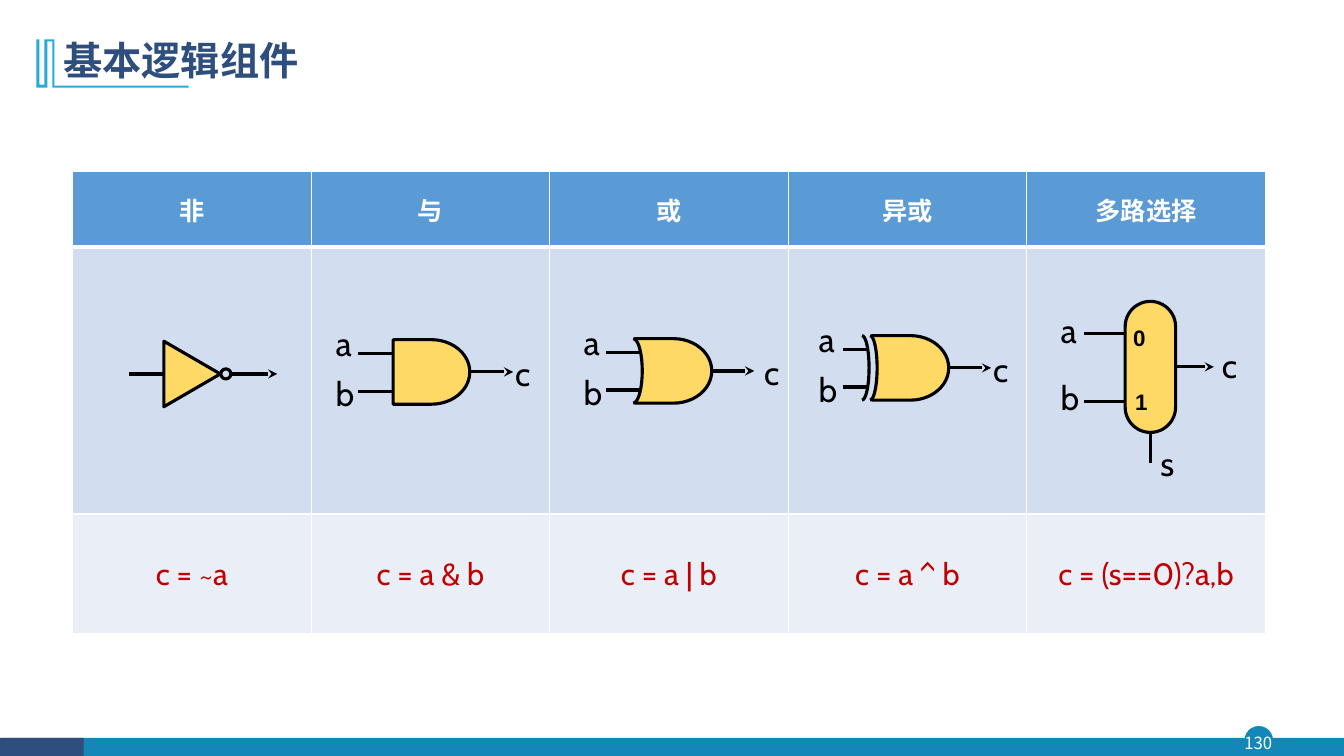
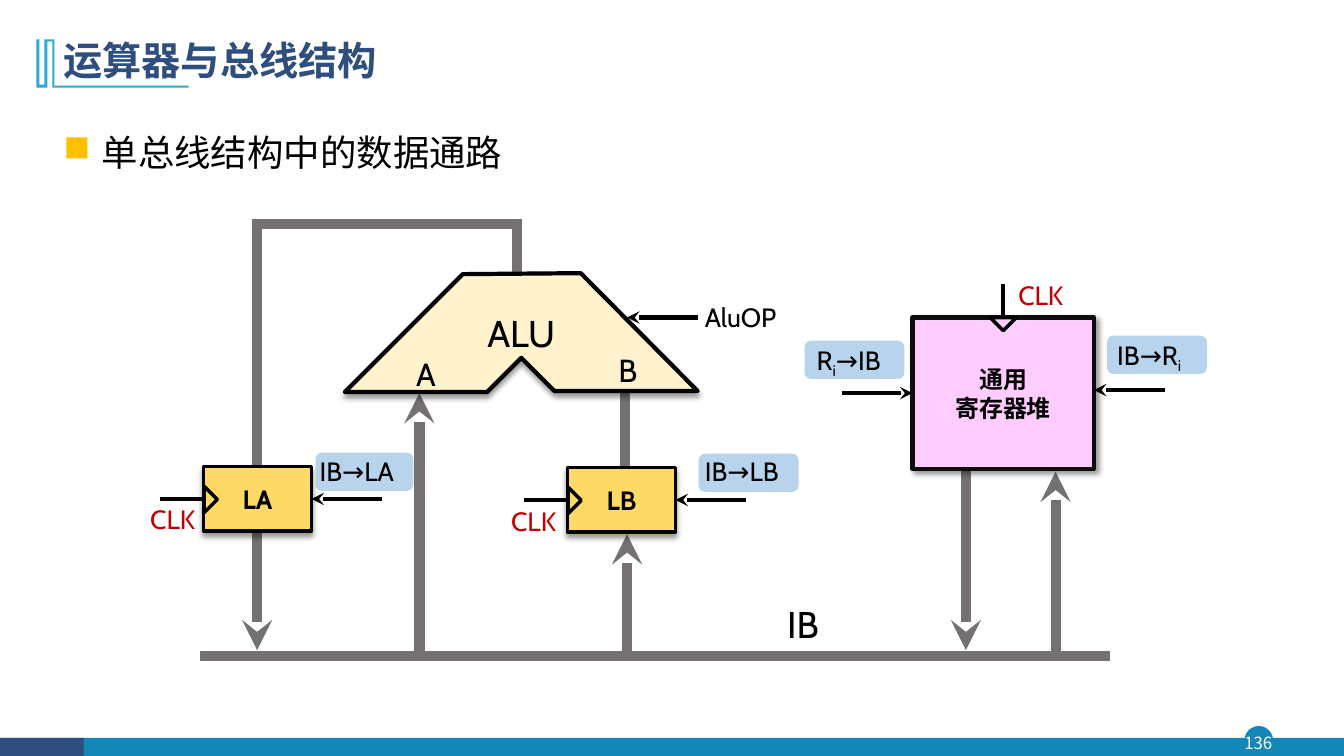
import math

import lxml.etree
import pptx
import pptx.dml.color
import pptx.enum.shapes
import pptx.enum.text
import pptx.oxml.ns
import pptx.util

PX = 9144  # 100 px to the inch
CJK = "Noto Sans CJK SC"
NAVY, TEAL, CYAN = "2E4E7E", "1387B7", "28A9D6"
BLACK, WHITE, RED, GRAY = "000000", "FFFFFF", "C00000", "767171"
GOLD, PINK, CREAM, SKY = "FFD966", "FFCCFF", "FFF2CC", "9DC3E6"
HEADER, BAND, PALE = "5B9BD5", "D2DEEF", "EAEFF7"

hex_color = pptx.dml.color.RGBColor.from_string
qn = pptx.oxml.ns.qn
add_element = lxml.etree.SubElement
SHAPE = pptx.enum.shapes.MSO_SHAPE
ALIGN = pptx.enum.text.PP_ALIGN
MIDDLE = pptx.enum.text.MSO_ANCHOR.MIDDLE
TOP = pptx.enum.text.MSO_ANCHOR.TOP


def draw(page, kind, at, fill=None, line=None, width=2.25, turn=0, shadow=None, arrow=False):
    """Add a box (left, top, width, height), a line (x1, y1, x2, y2) or an outline (x, y, ...)."""
    at = [round(value * PX) for value in at]
    if kind == "text":
        return page.shapes.add_textbox(*at)
    if kind == "line":
        item = page.shapes.add_connector(pptx.enum.shapes.MSO_CONNECTOR.STRAIGHT, *at)
        add_element(item._element.spPr, qn("a:effectLst"))
    else:
        if kind in ("outline", "curve"):
            points = list(zip(at[::2], at[1::2]))
            builder = page.shapes.build_freeform(*points[0])
            builder.add_line_segments(points[1:], close=kind == "outline")
            item = builder.convert_to_shape()
        else:
            item = page.shapes.add_shape(kind, *at)
        item.rotation = turn
        item.shadow.inherit = False
        if fill:
            item.fill.solid()
            item.fill.fore_color.rgb = hex_color(fill)
        else:
            item.fill.background()
    if line:
        item.line.color.rgb = hex_color(line)
        item.line.width = pptx.util.Pt(width)
    else:
        item.line.fill.background()
    if arrow:
        add_element(item._element.spPr.find(qn("a:ln")), qn("a:tailEnd"), type="stealth")
    if shadow is not None:
        effects = item._element.spPr.find(qn("a:effectLst"))
        outer = add_element(effects, qn("a:outerShdw"), blurRad="50800", dist="38100",
                            dir=str(shadow * 60000), algn="ctr", rotWithShape="0")
        tint = add_element(outer, qn("a:srgbClr"), val=BLACK)
        add_element(tint, qn("a:alpha"), val="40000")
    return item


def write(frame, text, size, color=BLACK, name="Cabin", bold=False, align=ALIGN.LEFT,
          anchor=TOP, margins=(10, 5), spacing=None):
    """Fill a text frame; underscores enclose a subscript."""
    across, down = (margin * PX for margin in margins)
    layout = {"word_wrap": True, "auto_size": pptx.enum.text.MSO_AUTO_SIZE.NONE,
              "vertical_anchor": anchor, "margin_left": across, "margin_right": across,
              "margin_top": down, "margin_bottom": down}
    for key, value in layout.items():
        setattr(frame, key, value)
    for number, words in enumerate(text.split("\n")):
        para = frame.add_paragraph() if number else frame.paragraphs[0]
        para.alignment = align
        if spacing:
            para.line_spacing = spacing
        for part, piece in enumerate(words.split("_")):
            if not piece:
                continue
            span = para.add_run()
            span.text = piece
            span.font.color.rgb = hex_color(color)
            for key, value in {"size": pptx.util.Pt(size), "name": name, "bold": bold}.items():
                setattr(span.font, key, value)
            properties = span._r.get_or_add_rPr()
            add_element(properties, qn("a:ea"), typeface=CJK)
            if part % 2:
                properties.set("baseline", "-25000")


deck = pptx.Presentation()
deck.slide_width, deck.slide_height = 1333 * PX, 750 * PX

# Shared frame: footer, page number, title and its ornament
ORNAMENT = (54, 39, 54, 85, 187, 85, 187, 87, 52, 87, 52, 41, 47, 41, 47, 87,
            36, 87, 36, 39, 39, 39, 39, 84, 44, 84, 44, 39)
pages = []
for heading, heading_width, number in (("基本逻辑组件", 310, "130"), ("运算器与总线结构", 1150, "136")):
    page = deck.slides.add_slide(deck.slide_layouts[5])
    draw(page, SHAPE.OVAL, (1235, 721, 27, 27), TEAL, TEAL, 1)
    draw(page, SHAPE.RECTANGLE, (1, 732, 1332, 19), TEAL)
    draw(page, SHAPE.RECTANGLE, (0, 732, 83, 19), NAVY)
    write(draw(page, "text", (1232, 721, 32, 31)).text_frame, number, 12, WHITE, CJK,
          align=ALIGN.CENTER, anchor=MIDDLE, margins=(0, 0))
    draw(page, "outline", ORNAMENT, CYAN)
    title = page.shapes.title
    box = {"left": 53, "top": 28, "width": heading_width, "height": 68}
    for key, value in box.items():
        setattr(title, key, value * PX)
    write(title.text_frame, heading, 28, NAVY, CJK, True, anchor=MIDDLE, spacing=0.9)
    pages.append(page)
gates_page, bus_page = pages

# Gate table
rows = (
    (75, HEADER, ("非", "与", "或", "异或", "多路选择"), (18, WHITE, CJK, True)),
    (265, BAND, ("",) * 5, (18,)),
    (119, PALE, ("c = ~a", "c = a & b", "c = a | b", "c = a ^ b", "c = (s==0)?a,b"), (22, RED)),
)
table = gates_page.shapes.add_table(3, 5, 72 * PX, 170 * PX, 1183 * PX, 459 * PX).table
for column in table.columns:
    column.width = 1183 * PX // 5
for row_number, (height, fill, texts, look) in enumerate(rows):
    table.rows[row_number].height = height * PX
    for column_number, text in enumerate(texts):
        cell = table.cell(row_number, column_number)
        for edge in "LRTB":
            thick = (row_number, edge) in ((0, "B"), (1, "T"))
            border = add_element(cell._tc.get_or_add_tcPr(), qn("a:ln" + edge),
                                 w=str(pptx.util.Pt(3 if thick else 1)))
            add_element(add_element(border, qn("a:solidFill")), qn("a:srgbClr"), val=WHITE)
        cell.fill.solid()
        cell.fill.fore_color.rgb = hex_color(fill)
        write(cell.text_frame, text, *look, align=ALIGN.CENTER)
        cell.vertical_anchor = MIDDLE

# NOT gate
draw(gates_page, "line", (128, 371, 163, 371), line=BLACK)
draw(gates_page, "line", (229, 371, 275, 371), line=BLACK, arrow=True)
draw(gates_page, SHAPE.OVAL, (219, 366, 10, 10), line=BLACK)
draw(gates_page, SHAPE.ISOSCELES_TRIANGLE, (158, 343, 65, 56), GOLD, BLACK, turn=90)

# AND, OR and XOR gates: place, wire start, wire end, output end, label places, back arcs
letters = []
gates = (
    (390, 337, 355, 390, 509, 323, 511, ()),
    (630, 336, 601, 636, 748, 569, 758, ((628, 9),)),
    (865, 333, 836, 861, 983, 802, 985, ((863, 7), (855, 7))),
)
for left, top, start, end, output_end, label_x, result_x, arcs in gates:
    gate = draw(gates_page, SHAPE.FLOWCHART_DELAY, (left, top, 76, 64), GOLD, BLACK)
    for arc_left, depth in arcs:
        points = []
        for degrees in range(-90, 91, 10):
            angle = math.radians(degrees)
            points += [arc_left + depth * math.cos(angle), top + 32 + 32 * math.sin(angle)]
        draw(gates_page, "curve", points, BAND, BLACK)
    for input_y in (top + 14, top + 51):
        draw(gates_page, "line", (start, input_y, end, input_y), line=BLACK)
    output = draw(gates_page, "line", (left + 76, top + 32, output_end, top + 32),
                  line=BLACK, arrow=True)
    output.begin_connect(gate, 3)
    letters += [("a", label_x, top - 22), ("b", label_x, top + 28), ("c", result_x, top + 5)]

# Multiplexer
mux = draw(gates_page, SHAPE.ROUNDED_RECTANGLE, (1116, 299, 50, 130), GOLD, BLACK)
mux.adjustments[0] = 0.5
for input_y in (331, 398):
    draw(gates_page, "line", (1075, input_y, 1116, input_y), line=BLACK)
output = draw(gates_page, "line", (1166, 364, 1204, 364), line=BLACK, arrow=True)
output.begin_connect(mux, 3)
selector = draw(gates_page, "line", (1141, 459, 1141, 429), line=BLACK)
selector.end_connect(mux, 2)
for digit, left, top in (("0", 1120, 316), ("1", 1122, 380)):
    write(draw(gates_page, "text", (left, top, 20, 29)).text_frame, digit, 16, name="Arial",
          bold=True, align=ALIGN.CENTER, margins=(0, 0), spacing=1.2)
letters += [("a", 1042, 303), ("b", 1042, 369), ("c", 1212, 334), ("s", 1141, 434)]

# Signal letters
for letter, left, top in letters:
    if letter == "c":
        frame = draw(gates_page, "text", (left, top, 20, 44)).text_frame
        write(frame, letter, 24, margins=(0, 0), spacing=1.2)
    else:
        write(draw(gates_page, "text", (left, top, 41, 50)).text_frame, letter, 24)

# Bullet line
frame = draw(bus_page, "text", (53, 103, 1150, 101)).text_frame
write(frame, "单总线结构中的数据通路", 26, name=CJK, align=ALIGN.JUSTIFY, spacing=1.5)
properties = frame.paragraphs[0]._p.get_or_add_pPr()
properties.set("marL", str(38 * PX))
properties.set("indent", str(-38 * PX))
add_element(add_element(properties, qn("a:buClr")), qn("a:srgbClr"), val="FFC000")
add_element(properties, qn("a:buChar"), char="■")

# Bus and data paths
for at, arrow in (
    ((416, 651, 416, 390), True),
    ((1047, 651, 1047, 468), True),
    ((958, 465, 958, 645), True),
    ((622, 651, 622, 530), True),
    ((250, 222, 518, 222), False),
    ((513, 273, 513, 222), False),
    ((255, 222, 255, 645), True),
    ((620, 468, 620, 386), False),
    ((198, 651, 1101, 651), False),
):
    draw(bus_page, "line", at, line=GRAY, width=7.25, arrow=arrow)

# ALU
alu = draw(bus_page, "outline", (459, 272, 342, 389, 483, 389, 517, 355, 550, 388, 692, 388, 576, 271),
           CREAM, BLACK, 3, shadow=90)
write(alu.text_frame, "ALU", 26.6, align=ALIGN.CENTER, anchor=MIDDLE)
draw(bus_page, "line", (692, 315, 622, 315), line=BLACK, width=3, arrow=True)

# Latches with clock and load signals
for name, left, top in (("LA", 202, 463), ("LB", 563, 464)):
    middle = top + 32
    latch = draw(bus_page, SHAPE.RECTANGLE, (left, top, 107, 64), GOLD, BLACK, 2.5, shadow=90)
    write(latch.text_frame, name, 18.9, bold=True, align=ALIGN.CENTER, anchor=MIDDLE)
    draw(bus_page, SHAPE.ISOSCELES_TRIANGLE, (left - 6, middle - 6, 26, 13), GOLD, BLACK, 2.5, turn=90)
    load = draw(bus_page, "line", (left + 177, middle, left + 107, middle),
                line=BLACK, width=3, arrow=True)
    load.end_connect(latch, 3)
    clock = draw(bus_page, "line", (left - 43, middle, left, middle), line=BLACK, width=3)
    clock.end_connect(latch, 1)

# Register file
registers = draw(bus_page, SHAPE.RECTANGLE, (905, 315, 180, 150), PINK, "0D0D0D", 3, shadow=45)
write(registers.text_frame, "通用\n寄存器堆", 17.1, name=CJK, bold=True,
      align=ALIGN.CENTER, anchor=MIDDLE)
draw(bus_page, SHAPE.ISOSCELES_TRIANGLE, (982, 315, 26, 13), PINK, BLACK, 2.5, turn=180)
clock = draw(bus_page, "line", (995, 282, 995, 315), line=BLACK, width=3)
clock.end_connect(registers, 0)
read = draw(bus_page, "line", (835, 390, 905, 390), line=BLACK, width=3, arrow=True)
read.end_connect(registers, 1)
draw(bus_page, "line", (1155, 387, 1085, 387), line=BLACK, width=3, arrow=True)

# Translucent control tags
for left, top, width in ((798, 338, 99), (1098, 333, 99), (693, 450, 99), (313, 449, 97)):
    tag = draw(bus_page, SHAPE.ROUNDED_RECTANGLE, (left, top, width, 38), SKY)
    add_element(tag._element.spPr.find(".//" + qn("a:srgbClr")), qn("a:alpha"), val="72000")

# Signal labels
for text, left, top, width, color in (
    ("CLK", 140, 494, 83, RED),
    ("CLK", 498, 496, 83, RED),
    ("CLK", 1001, 272, 83, RED),
    ("AluOP", 690, 294, 131, BLACK),
    ("IB→LA", 308, 447, 131, BLACK),
    ("IB→LB", 690, 447, 111, BLACK),
    ("R_i_→IB", 801, 336, 131, BLACK),
    ("IB→R_i_", 1099, 331, 98, BLACK),
):
    write(draw(bus_page, "text", (left, top, width, 34)).text_frame, text, 18.9, color, margins=(9, 5))
for text, left, top, width, height, size in (
    ("IB", 763, 592, 59, 55, 26.6),
    ("A", 398, 347, 44, 48, 22.8),
    ("B", 600, 343, 42, 48, 22.8),
):
    frame = draw(bus_page, "text", (left, top, width, height)).text_frame
    write(frame, text, size, align=ALIGN.RIGHT)

deck.save("out.pptx")
